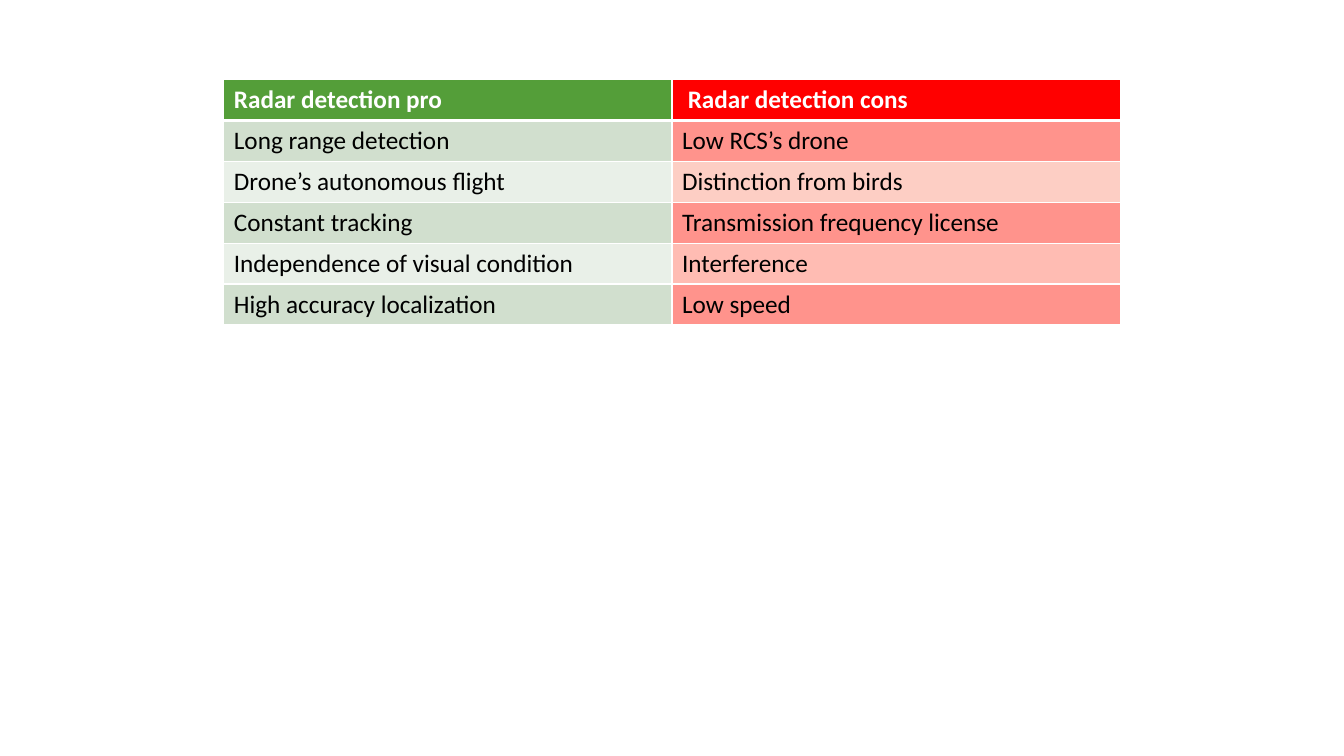
from lxml import etree
from pptx import Presentation
from pptx.dml.color import RGBColor
from pptx.oxml import ns
from pptx.util import Inches, Pt

WHITE = RGBColor(0xFF, 0xFF, 0xFF)
BLACK = RGBColor(0x00, 0x00, 0x00)
GREEN = RGBColor(0x54, 0x9E, 0x39)
SAGE = RGBColor(0xD1, 0xDF, 0xCE)
PALE_SAGE = RGBColor(0xE9, 0xF0, 0xE8)
RED = RGBColor(0xFF, 0x00, 0x00)
CORAL = RGBColor(0xFF, 0x93, 0x8C)
PEACH = RGBColor(0xFD, 0xCE, 0xC4)
PINK = RGBColor(0xFF, 0xBC, 0xB3)

PROS = [
    ("Radar detection pro", GREEN),
    ("Long range detection", SAGE),
    ("Drone’s autonomous flight", PALE_SAGE),
    ("Constant tracking", SAGE),
    ("Independence of visual condition", PALE_SAGE),
    ("High accuracy localization", SAGE),
]
CONS = [
    (" Radar detection cons", RED),
    ("Low RCS’s drone", CORAL),
    ("Distinction from birds", PEACH),
    ("Transmission frequency license", CORAL),
    ("Interference", PINK),
    ("Low speed", CORAL),
]


def set_borders(cell, widths):
    """Draw white borders; widths maps an edge letter (L, R, T, B) to points."""
    properties = cell._tc.get_or_add_tcPr()
    for position, (edge, width) in enumerate(widths.items()):
        line = etree.Element(ns.qn(f"a:ln{edge}"), w=str(Pt(width)))
        fill = etree.SubElement(line, ns.qn("a:solidFill"))
        etree.SubElement(fill, ns.qn("a:srgbClr"), val=str(WHITE))
        properties.insert(position, line)


def fill_cell(cell, wording, colour, is_header):
    cell.fill.solid()
    cell.fill.fore_color.rgb = colour
    cell.text = wording
    font = cell.text_frame.paragraphs[0].runs[0].font
    for name, value in {"name": "Calibri", "size": Pt(18), "bold": is_header}.items():
        setattr(font, name, value)
    font.color.rgb = WHITE if is_header else BLACK


def add_comparison(slide, columns):
    row_count = len(columns[0])
    table = slide.shapes.add_table(
        row_count, len(columns),
        Inches(2.22), Inches(0.79), Inches(8.89), Inches(2.43),
    ).table
    for column, entries in enumerate(columns):
        for row, (wording, colour) in enumerate(entries):
            cell = table.cell(row, column)
            fill_cell(cell, wording, colour, is_header=row == 0)
            set_borders(cell, {
                "L": 1, "R": 1,
                "T": 3 if row == 1 else 1,
                "B": 3 if row == 0 else 1,
            })


def main():
    presentation = Presentation()
    presentation.slide_width = Inches(13.33)
    presentation.slide_height = Inches(7.5)
    slide = presentation.slides.add_slide(presentation.slide_layouts[6])
    add_comparison(slide, [PROS, CONS])
    presentation.save("out.pptx")


if __name__ == "__main__":
    main()
